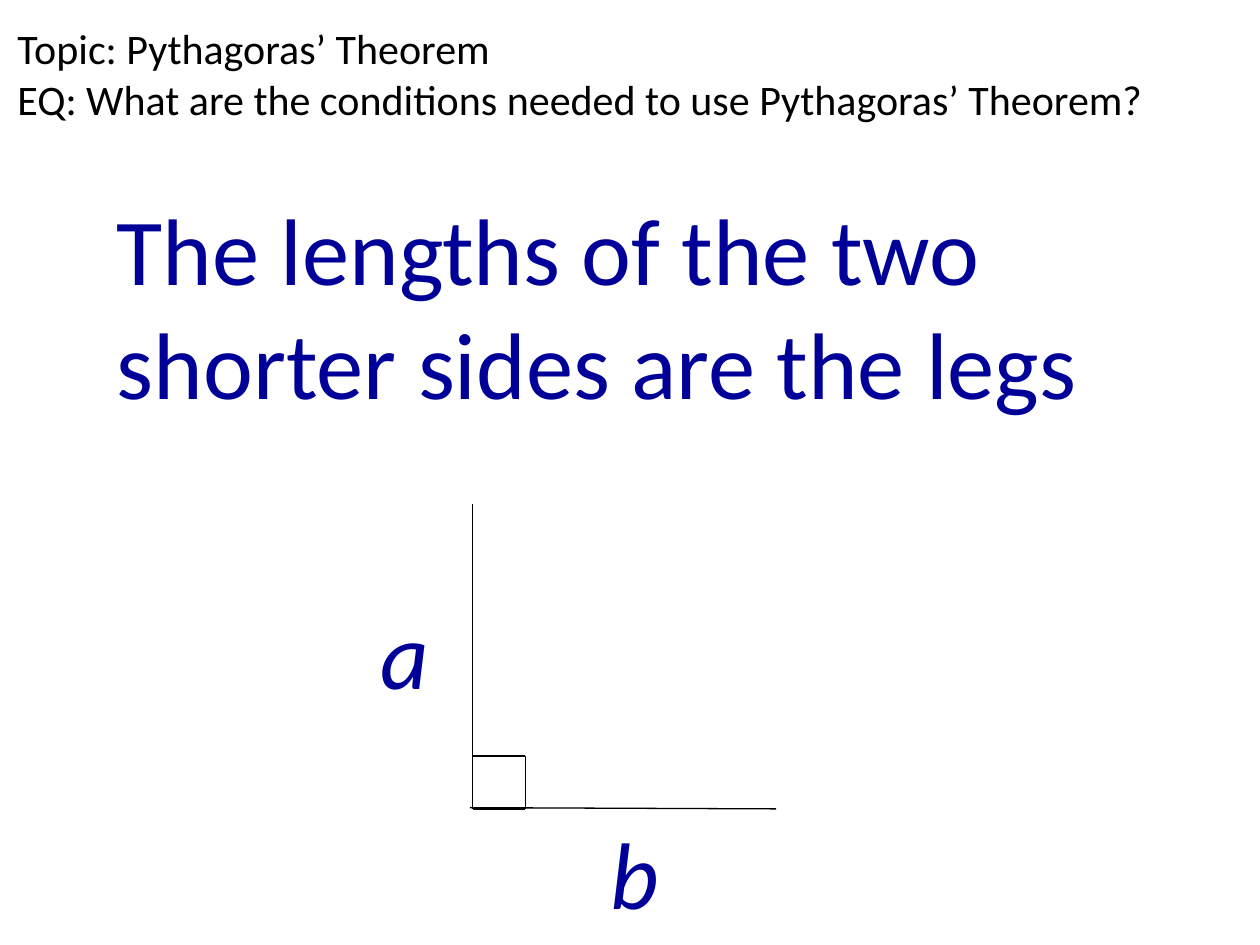
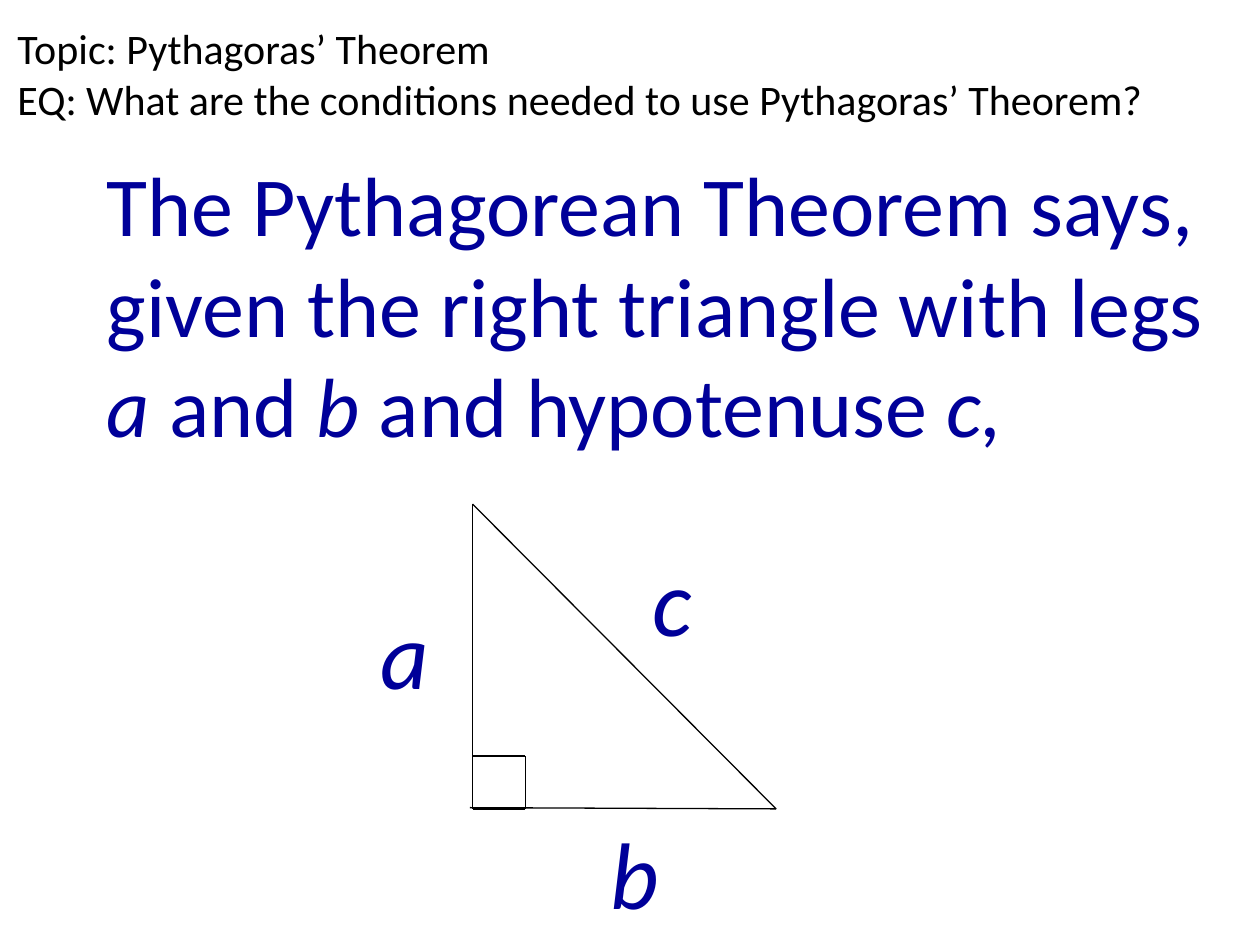
import pptx
import pptx.dml.color
import pptx.enum.shapes
import pptx.enum.text
import pptx.oxml
import pptx.util
from pptx.util import Inches

BLACK = "000000"
NAVY = "000099"
HEADING_LINES = [
    "Topic: Pythagoras’ Theorem",
    "EQ: What are the conditions needed to use Pythagoras’ Theorem?",
]

# Triangle corners and the size of the right-angle mark
LEFT, TOP, RIGHT, BOTTOM = 3.75, 4, 6.16, 6.42
MARK = 0.42


def color(hex_string):
    return pptx.dml.color.RGBColor.from_string(hex_string)


def set_attributes(target, values):
    for name, value in values.items():
        setattr(target, name, value)


def add_run(paragraph, text, size, hex_string, italic=False):
    run = paragraph.add_run()
    run.text = text
    set_attributes(run.font, {
        "name": "Calibri", "size": pptx.util.Pt(size), "italic": italic})
    run.font.color.rgb = color(hex_string)


def add_text_box(slide, left, top, width, height, **frame_format):
    """Add a wrapping text box and return its first paragraph."""
    box = slide.shapes.add_textbox(
        Inches(left), Inches(top), Inches(width), Inches(height))
    set_attributes(box.text_frame, {"word_wrap": True, **frame_format})
    return box.text_frame.paragraphs[0]


def add_heading(slide):
    paragraph = add_text_box(
        slide, 0.04, -0.11, 11.65, 1.38,
        vertical_anchor=pptx.enum.text.MSO_ANCHOR.MIDDLE)
    for index, line in enumerate(HEADING_LINES):
        if index:
            paragraph.add_line_break()
        add_run(paragraph, line, 24, BLACK)


def add_statement(slide, left, top, width, height, size, pieces):
    """Add navy text from (text, italic) pieces."""
    paragraph = add_text_box(
        slide, left, top, width, height,
        auto_size=pptx.enum.text.MSO_AUTO_SIZE.SHAPE_TO_FIT_TEXT)
    for text, italic in pieces:
        add_run(paragraph, text, size, NAVY, italic)


def add_side_label(slide, letter, left, top):
    add_statement(slide, left, top, 1.25, 1, 54, [(letter, True)])


def add_line(slide, start, end):
    line = slide.shapes.add_connector(
        pptx.enum.shapes.MSO_CONNECTOR.STRAIGHT,
        *(Inches(value) for value in (*start, *end)))
    line.line.color.rgb = color(BLACK)
    line.line.width = pptx.util.Pt(0.75)
    properties = line._element.spPr
    properties.append(pptx.oxml.parse_xml(
        '<a:effectLst xmlns:a='
        '"http://schemas.openxmlformats.org/drawingml/2006/main"/>'))


def add_legs(slide):
    # Legs
    add_line(slide, (RIGHT, BOTTOM), (LEFT - 0.02, BOTTOM - 0.01))
    add_line(slide, (LEFT, TOP), (LEFT, BOTTOM))
    # Right-angle mark
    mark_corner = (LEFT + MARK, BOTTOM - MARK)
    add_line(slide, mark_corner, (LEFT + MARK, BOTTOM))
    add_line(slide, (LEFT, BOTTOM - MARK), mark_corner)
    add_line(slide, (LEFT, BOTTOM), (LEFT + MARK, BOTTOM))
    add_side_label(slide, "a", 2.92, 4.67)
    add_side_label(slide, "b", 4.75, 6.42)


def add_hypotenuse(slide):
    add_line(slide, (LEFT, TOP), (RIGHT, BOTTOM))
    add_side_label(slide, "c", 5.08, 4.25)


def add_lesson_slide(presentation):
    slide = presentation.slides.add_slide(presentation.slide_layouts[6])
    add_heading(slide)
    add_legs(slide)
    return slide


def main():
    presentation = pptx.Presentation()
    set_attributes(presentation, {
        "slide_width": Inches(10), "slide_height": Inches(7.5)})

    # Slide 1: the legs
    slide = add_lesson_slide(presentation)
    add_statement(slide, 0.83, 1.47, 9.08, 2.83, 54, [
        ("The lengths of the two shorter sides are the legs", False)])

    # Slide 2: the whole right triangle
    slide = add_lesson_slide(presentation)
    add_hypotenuse(slide)
    add_statement(slide, 0.75, 1.16, 8.92, 2.52, 48, [
        ("The Pythagorean Theorem says, given the right triangle with legs ",
         False),
        ("a", True), (" and ", False), ("b", True),
        (" and hypotenuse ", False), ("c,", True)])

    presentation.save("out.pptx")


if __name__ == "__main__":
    main()
